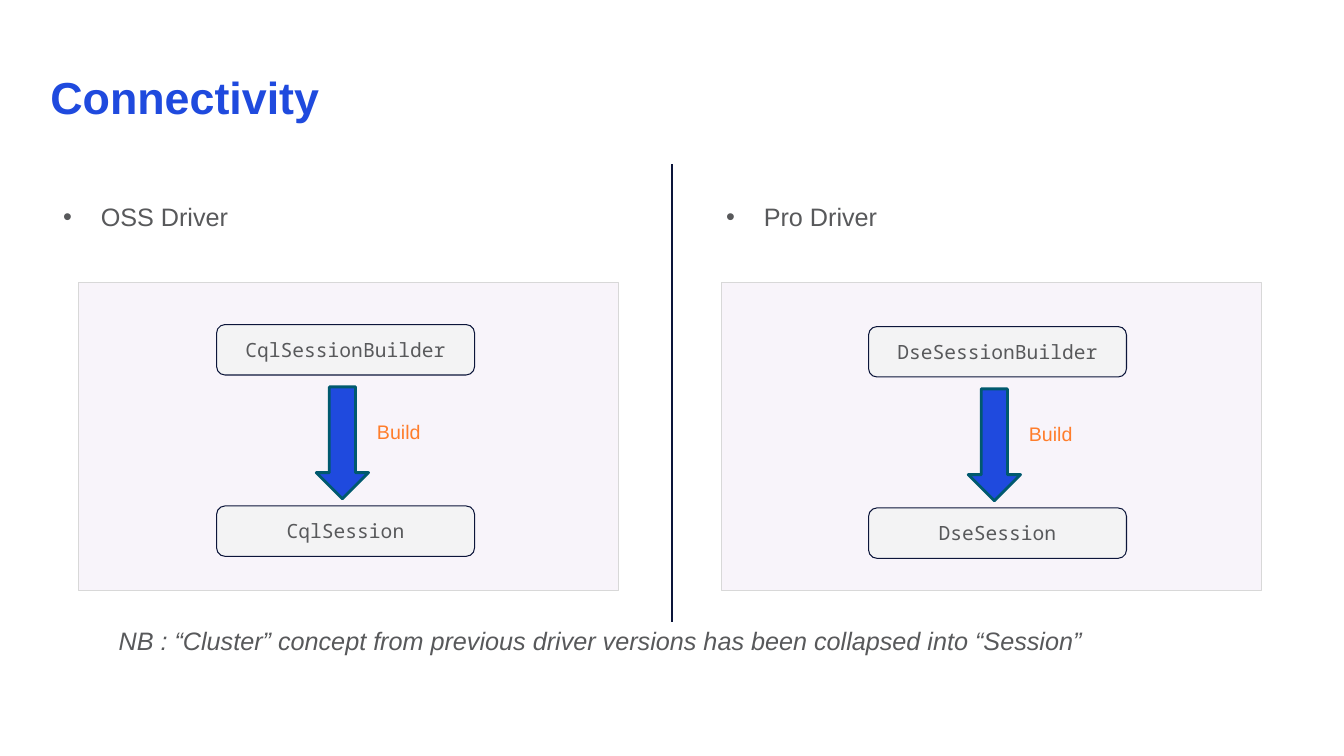
"""Build the Connectivity slide comparing session builders of two drivers."""
from lxml.etree import SubElement
from pptx import Presentation
from pptx.dml.color import RGBColor
from pptx.enum.shapes import MSO_CONNECTOR, MSO_SHAPE
from pptx.enum.text import MSO_ANCHOR, PP_ALIGN
from pptx.oxml.ns import qn
from pptx.util import Cm, Pt

COLORS = {
    "title": "1F4ADE", "text": "58595B", "navy": "0C153A", "panel": "F8F4FA",
    "panel_edge": "D8D8D8", "box": "F3F3F4", "arrow_edge": "00596E", "build": "FF7D2B",
}


def add_block(shapes, preset, left, top, width, height, fill, edge, weight):
    block = shapes.add_shape(preset, Cm(left), Cm(top), Cm(width), Cm(height))
    block.shadow.inherit = False
    block.fill.solid()
    block.fill.fore_color.rgb = RGBColor.from_string(COLORS[fill])
    block.line.color.rgb = RGBColor.from_string(COLORS[edge])
    block.line.width = Pt(weight)
    return block


def write(holder, wording, size, color, inset_x=0, inset_y=0, font="Arial"):
    frame = holder.text_frame
    frame.word_wrap = True
    frame.margin_left = frame.margin_right = Cm(inset_x)
    frame.margin_top = frame.margin_bottom = Cm(inset_y)
    run = frame.paragraphs[0].add_run()
    run.text = wording
    run.font.name = font
    run.font.size = Pt(size)
    run.font.color.rgb = RGBColor.from_string(COLORS[color])
    return frame.paragraphs[0], run


presentation = Presentation()
presentation.slide_width = Cm(33.87)
presentation.slide_height = Cm(19.05)
slide = presentation.slides.add_slide(presentation.slide_layouts[6])
shapes = slide.shapes

divider = shapes.add_connector(MSO_CONNECTOR.STRAIGHT, Cm(16.93), Cm(4.14), Cm(16.93), Cm(15.67))
divider.line.color.rgb = RGBColor.from_string(COLORS["navy"])
divider.line.width = Pt(1.5)
SubElement(divider.element.spPr, qn("a:effectLst"))

title = shapes.add_textbox(Cm(1.27), Cm(1.27), Cm(31.32), Cm(2.49))
title_paragraph, title_run = write(title, "Connectivity", 32, "title")
title.text_frame.vertical_anchor = MSO_ANCHOR.MIDDLE
title_paragraph.line_spacing = 0.9
title_run.font.bold = True

drivers = [
    ("OSS Driver", "Cql", 1.27, 1.98, 5.46, 8.18),
    ("Pro Driver", "Dse", 17.98, 18.19, 21.89, 8.23),
]
for driver, prefix, heading_left, panel_left, box_left, box_top in drivers:
    add_block(shapes, MSO_SHAPE.RECTANGLE, panel_left, 7.11, 13.61, 7.77,
              "panel", "panel_edge", 0.75)

    heading = shapes.add_textbox(Cm(heading_left), Cm(5.08), Cm(14.63), Cm(10.58))
    heading_paragraph, _ = write(heading, driver, 18, "text")
    properties = heading_paragraph._p.get_or_add_pPr()
    properties.set("marL", str(Cm(1.27)))
    properties.set("indent", str(Cm(-0.95)))
    bullet_color = SubElement(properties, qn("a:buClr"))
    SubElement(bullet_color, qn("a:srgbClr"), val=COLORS["text"])
    SubElement(properties, qn("a:buFont"), typeface="Arial")
    SubElement(properties, qn("a:buChar"), char="•")

    for class_name, drop in ((prefix + "SessionBuilder", 0), (prefix + "Session", 4.57)):
        class_box = add_block(shapes, MSO_SHAPE.ROUNDED_RECTANGLE, box_left, box_top + drop,
                              6.5, 1.27, "box", "navy", 0.75)
        class_paragraph, _ = write(class_box, class_name, 14, "text", 0.25, 0.25, "Noto Sans Mono")
        class_paragraph.alignment = PP_ALIGN.CENTER
        class_box.text_frame.vertical_anchor = MSO_ANCHOR.MIDDLE

    build_step = shapes.add_group_shape().shapes
    add_block(build_step, MSO_SHAPE.DOWN_ARROW, box_left + 2.51, box_top + 1.57,
              1.32, 2.82, "title", "arrow_edge", 2)
    build_label = build_step.add_textbox(Cm(box_left + 3.86), Cm(box_top + 2.31), Cm(2.97), Cm(0.76))
    write(build_label, "Build", 14, "build", 0.18, 0.1)

note = shapes.add_textbox(Cm(2.67), Cm(15.77), Cm(24.71), Cm(1.45))
note_paragraph, note_run = write(
    note, "NB : “Cluster” concept from previous driver versions has been collapsed into “Session”",
    18, "text")
note_paragraph._p.get_or_add_pPr().set("marL", str(Cm(0.32)))
note_run.font.italic = True

presentation.save("out.pptx")
